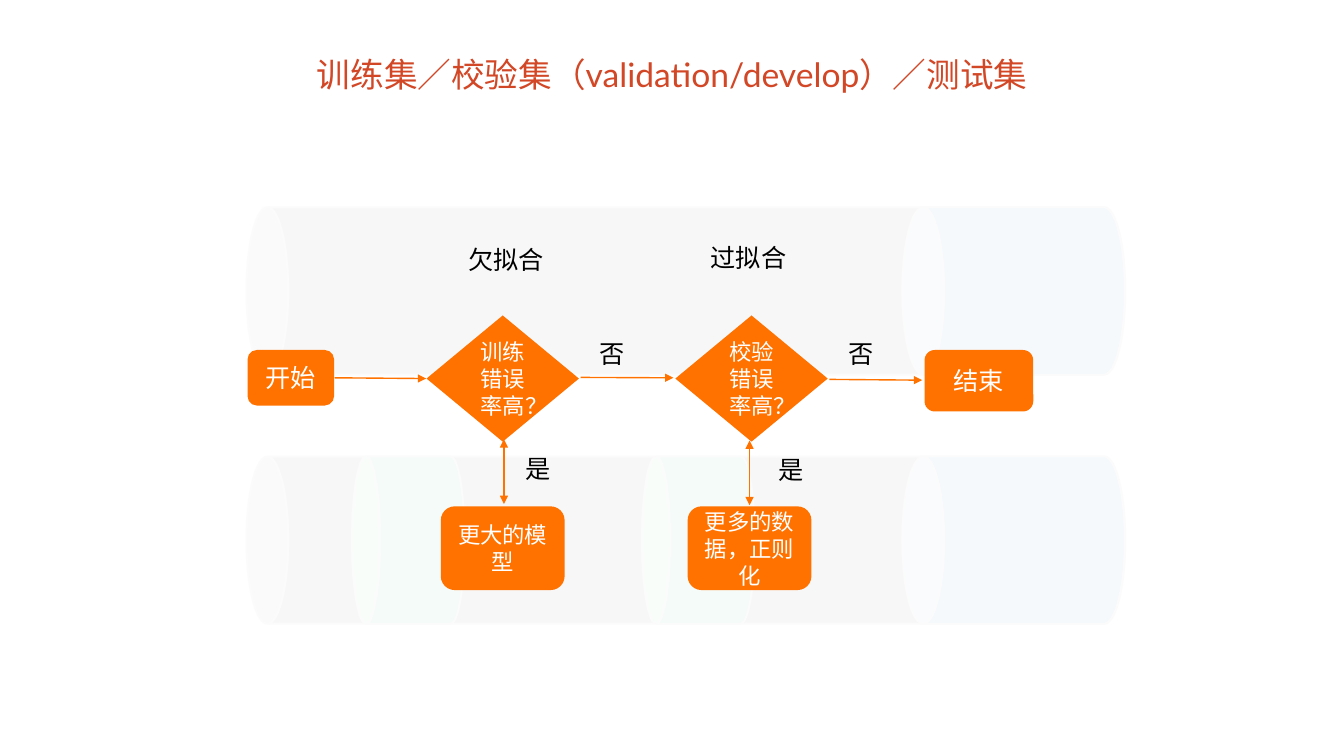
from lxml import etree
from pptx import Presentation
from pptx import util as u
from pptx.dml.color import RGBColor
from pptx.enum import shapes, text
from pptx.oxml.ns import qn

# Content: all lengths in centimetres
COLORS = {"title": "D24726", "flow": "FF7200", "edge": "A3A3A3", "gray": "474747",
          "blue": "0070C0", "green": "00B050", "white": "FFFFFF", "black": "000000"}
TITLE = "训练集／校验集（validation/develop）／测试集"
TITLE_FRAME = (4.67, 1.24, 24.54, 1.27)
VEIL_FRAME = (1.07, 3.3, 32.11, 15.75)
VEIL_OPACITY = 96

# Data cylinders: left, length, centre line, colour
CAN_DIAMETER = 4.22
UPPER, LOWER = 7.33, 13.61
WHOLE, TEST = (6.21, 22.15), (22.74, 5.61)
CANS = [
    (*WHOLE, LOWER, "gray"), (*TEST, LOWER, "blue"),
    (8.87, 2.84, LOWER, "green"), (16.18, 2.84, LOWER, "green"),
    (*WHOLE, UPPER, "gray"), (*TEST, UPPER, "blue"),
]

# Labels: text, left, top, width
LABEL_HEIGHT = 1.02
FLOW_LABELS = [
    ("是", 13, 11.3, 1.88), ("是", 19.38, 11.33, 1.88),
    ("否", 14.86, 8.41, 1.88), ("否", 21.13, 8.41, 1.88),
    ("欠拟合", 11.56, 6.03, 3.48), ("过拟合", 17.66, 5.99, 3.48),
]

# Flow chart: text, shape, frame, text size
KIND = shapes.MSO_SHAPE
NODES = [
    ("开始", KIND.ROUNDED_RECTANGLE, (6.24, 8.82, 2.18, 1.4), 18),
    ("训练错误率高？", KIND.DIAMOND, (10.75, 7.95, 3.84, 3.18), 16),
    ("更大的模型", KIND.ROUNDED_RECTANGLE, (11.11, 12.76, 3.12, 2.11), 16),
    ("校验错误率高？", KIND.DIAMOND, (17.02, 7.95, 3.84, 3.18), 16),
    ("更多的数据，正则化", KIND.ROUNDED_RECTANGLE, (17.33, 12.76, 3.12, 2.11), 16),
    ("结束", KIND.FLOWCHART_ALTERNATE_PROCESS, (23.3, 8.82, 2.74, 1.55), 18),
]
# Arrows: start x, start y, end x, end y, arrowheads
ARROWS = [
    (8.43, 9.52, 10.74, 9.54, ["tailEnd"]),
    (14.63, 9.51, 16.97, 9.52, ["tailEnd"]),
    (20.9, 9.56, 23.24, 9.58, ["tailEnd"]),
    (12.7, 11.07, 12.7, 12.7, ["headEnd", "tailEnd"]),
    (18.89, 11.1, 18.89, 12.73, ["headEnd", "tailEnd"]),
]

deck = Presentation()
deck.slide_width, deck.slide_height = u.Cm(33.87), u.Cm(19.05)
page = deck.slides.add_slide(deck.slide_layouts[6])


def color(name):
    return RGBColor.from_string(COLORS[name])


def write(box, words, size=18, font="Calibri", ink="black", align=None, anchor=None):
    frame = box.text_frame
    frame.word_wrap = True
    if anchor is not None:
        frame.vertical_anchor = anchor
    para = frame.paragraphs[0]
    if align is not None:
        para.alignment = align
    span = para.add_run()
    span.text = words
    span.font.size, span.font.name = u.Pt(size), font
    span.font.color.rgb = color(ink)


def add_block(kind, frame, fill, edge=None):
    block = page.shapes.add_shape(kind, *map(u.Cm, frame))
    block.shadow.inherit = False
    block.fill.solid()
    block.fill.fore_color.rgb = color(fill)
    if edge:
        block.line.color.rgb, block.line.width = color(edge), u.Pt(1.25)
    else:
        block.line.fill.background()
    return block


def add_text(words, frame, **style):
    box = page.shapes.add_textbox(*map(u.Cm, frame))
    write(box, words, **style)


def add_arrow(x1, y1, x2, y2, heads):
    arrow = page.shapes.add_connector(shapes.MSO_CONNECTOR.STRAIGHT,
                                      *map(u.Cm, (x1, y1, x2, y2)))
    arrow.line.color.rgb, arrow.line.width = color("flow"), u.Pt(1)
    line = arrow.line._get_or_add_ln()
    for head in heads:
        etree.SubElement(line, qn(f"a:{head}"), type="triangle")
    etree.SubElement(arrow._element.spPr, qn("a:effectLst"))


# Title
add_text(TITLE, TITLE_FRAME, size=24, font="Lato", ink="title",
         align=text.PP_ALIGN.CENTER)

# Cylinders lying on their side
for left, length, middle, fill in CANS:
    frame = (left + (length - CAN_DIAMETER) / 2, middle - length / 2,
             CAN_DIAMETER, length)
    can = add_block(KIND.CAN, frame, fill, edge="edge")
    can.rotation = 270

# Nearly opaque veil over the cylinders
veil = add_block(KIND.ROUNDED_RECTANGLE, VEIL_FRAME, "white")
veil_color = veil._element.spPr.find(qn("a:solidFill")).find(qn("a:srgbClr"))
etree.SubElement(veil_color, qn("a:alpha"), val=str(VEIL_OPACITY * 1000))

# Flow chart
for words, kind, frame, size in NODES:
    node = add_block(kind, frame, "flow")
    write(node, words, size=size, ink="white", align=text.PP_ALIGN.CENTER,
          anchor=text.MSO_ANCHOR.MIDDLE)
for arrow_data in ARROWS:
    add_arrow(*arrow_data)
for words, left, top, width in FLOW_LABELS:
    add_text(words, (left, top, width, LABEL_HEIGHT))

deck.save("out.pptx")
